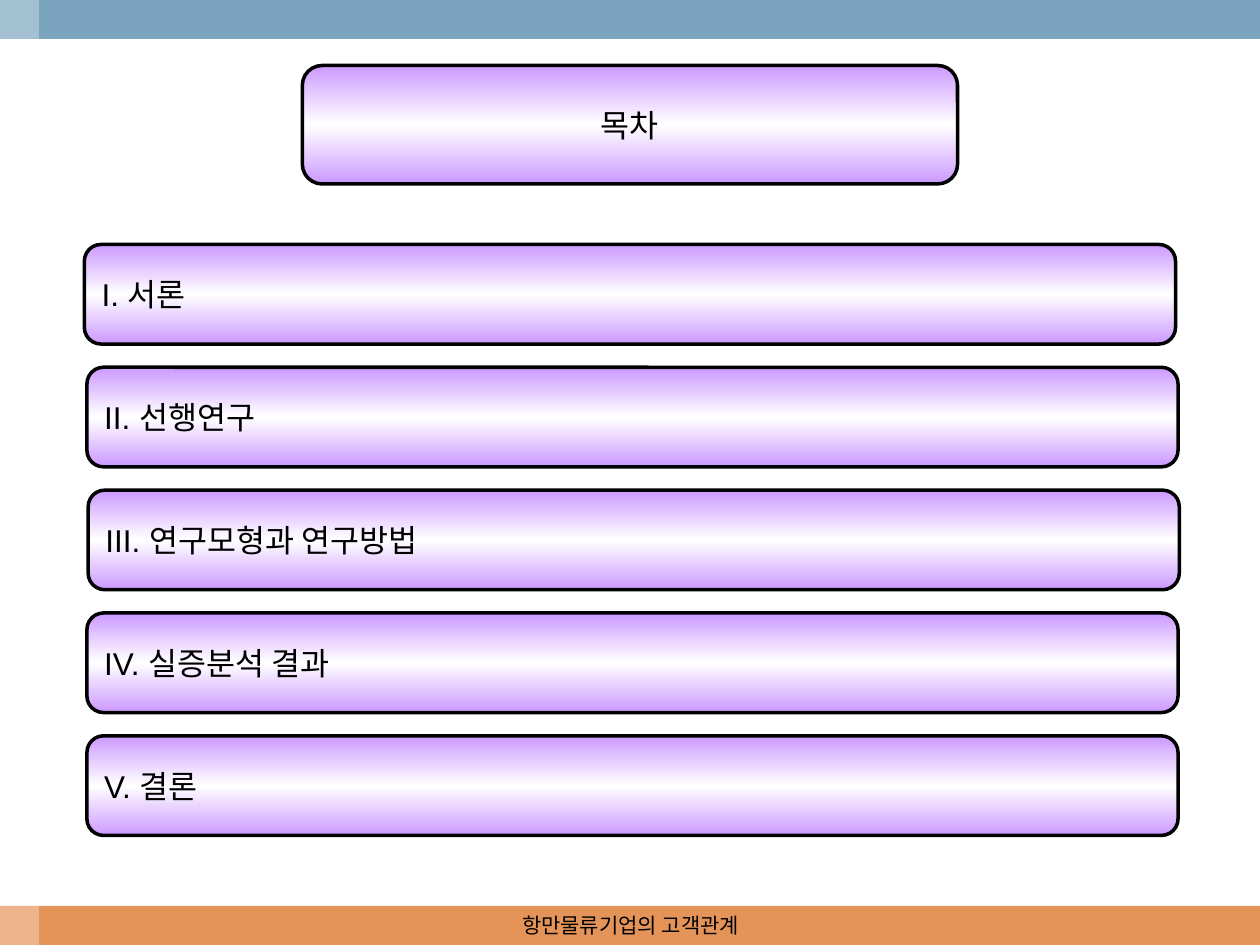
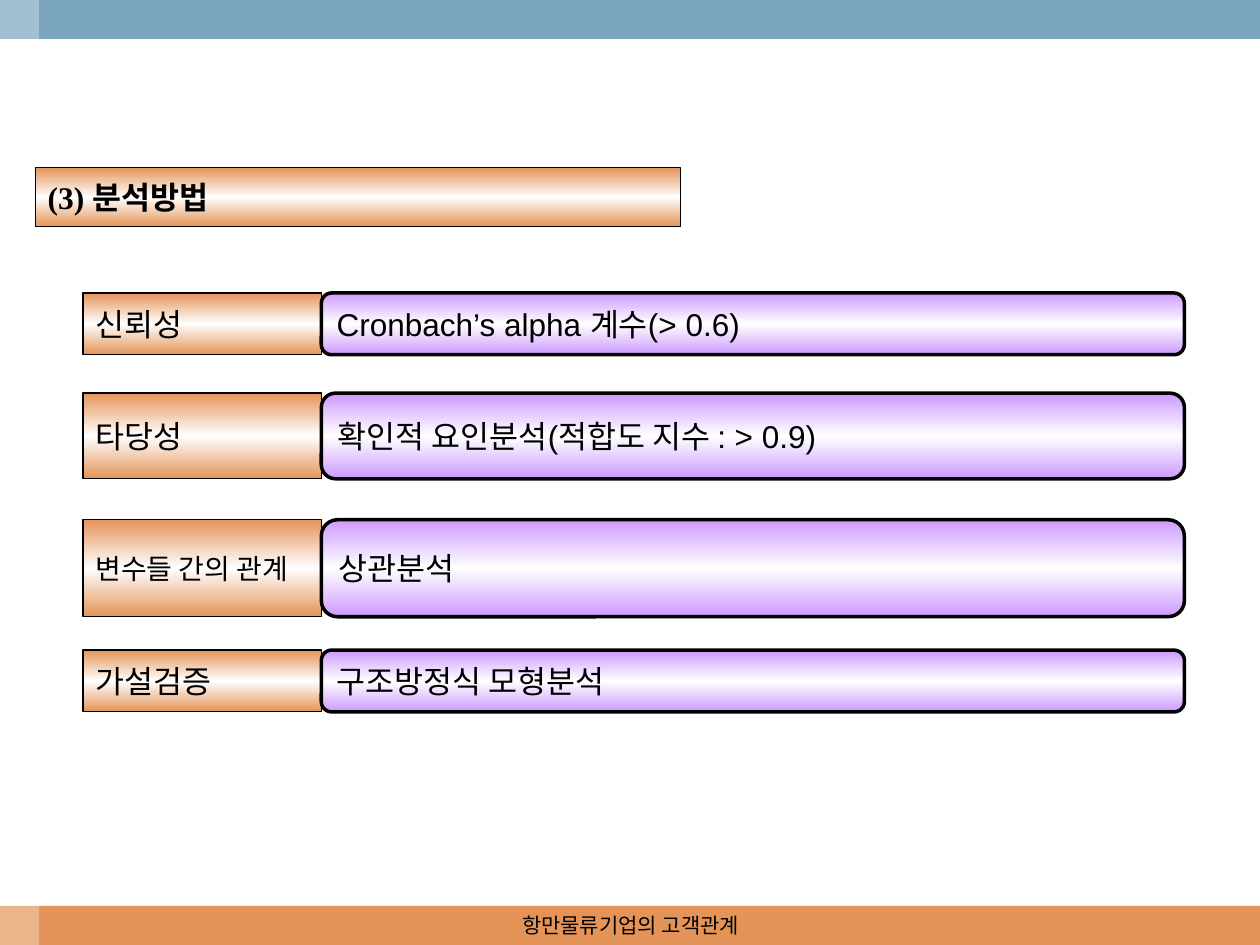
from lxml.etree import SubElement
from pptx import Presentation
from pptx.dml.color import RGBColor
from pptx.enum.shapes import MSO_SHAPE as Shape
from pptx.enum.text import MSO_ANCHOR as Anchor, PP_ALIGN as Align
from pptx.oxml.ns import qn
from pptx.util import Inches, Pt

COLORS = {"ink": "000000", "paper": "FFFFFF", "orange": "E49458",
          "blue": "7BA5BE", "violet": "CC99FF"}
COLUMNS, ROWS = 100, 75
BAND = 3.1
FOOTER = "항만물류기업의 고객관계"


def rgb(name):
    """Look up a named colour."""
    return RGBColor.from_string(COLORS[name])


def write(shape, text, font="Arial", size=18, bold=False, align=Align.LEFT):
    """Put one formatted line of text in a shape, centred vertically."""
    frame = shape.text_frame
    frame.word_wrap = True
    frame.vertical_anchor = Anchor.MIDDLE
    line = frame.paragraphs[0]
    line.alignment = align
    run = line.add_run()
    run.text = text
    run.font.name, run.font.size, run.font.bold = font, Pt(size), bold
    run.font.color.rgb = rgb("ink")


def shade(shape, color):
    """Fill a shape from a colour through white and back, top to bottom."""
    shape.fill.gradient()
    shape.fill.gradient_angle = 270
    stops = shape.fill._fill._gradFill.find(qn("a:gsLst"))
    for stop in list(stops):
        stops.remove(stop)
    for position, name in ((0, color), (50, "paper"), (100, color)):
        stop = SubElement(stops, qn("a:gs"), pos=str(position * 1000))
        SubElement(stop, qn("a:srgbClr"), val=COLORS[name])


class Deck:
    """Holds the presentation, its grid and the current slide."""

    def __init__(self):
        """Start a 4:3 presentation."""
        self.show = Presentation()
        self.show.slide_width, self.show.slide_height = Inches(10), Inches(7.5)
        self.slide = None

    def place(self, left, top, width, height):
        """Turn columns and rows into lengths."""
        column = self.show.slide_width / COLUMNS
        row = self.show.slide_height / ROWS
        return (round(left * column), round(top * row),
                round(width * column), round(height * row))

    def shape(self, kind, *box):
        """Add a preset shape without shadow."""
        shape = self.slide.shapes.add_shape(kind, *self.place(*box))
        shape.shadow.inherit = False
        return shape

    def band(self, color, *box, opacity=100):
        """Add a plain, optionally see-through, band."""
        band = self.shape(Shape.RECTANGLE, *box)
        band.line.fill.background()
        band.fill.solid()
        band.fill.fore_color.rgb = rgb(color)
        if opacity < 100:
            tint = band.fill._fill._solidFill.find(qn("a:srgbClr"))
            SubElement(tint, qn("a:alpha"), val=str(opacity * 1000))

    def new_slide(self):
        """Start a slide with its bands and footer."""
        self.slide = self.show.slides.add_slide(self.show.slide_layouts[6])
        self.band("orange", 0, ROWS - BAND, COLUMNS, BAND)
        self.band("blue", 0, 0, COLUMNS, BAND)
        self.band("paper", 0, 0, BAND, ROWS, opacity=30)
        footer = self.slide.shapes.add_textbox(
            *self.place(34.2, ROWS - BAND, 31.7, BAND))
        write(footer, FOOTER, font="Cambria", size=12, align=Align.CENTER)

    def panel(self, text, *box, kind, color, border, **style):
        """Add a bordered, shaded shape with text."""
        panel = self.shape(kind, *box)
        shade(panel, color)
        panel.line.color.rgb = rgb("ink")
        panel.line.width = Pt(border)
        write(panel, text, **style)

    def card(self, text, *box, **style):
        """Add a rounded violet panel."""
        self.panel(text, *box, kind=Shape.ROUNDED_RECTANGLE, color="violet",
                   border=2, **style)

    def label(self, text, *box, **style):
        """Add a square orange panel."""
        self.panel(text, *box, kind=Shape.RECTANGLE, color="orange",
                   border=0.75, font="Times New Roman", **style)


def contents(deck):
    """Build the table of contents."""
    deck.new_slide()
    deck.card("목차", 24, 5.2, 52, 9.4, align=Align.CENTER)
    chapters = (("I. 서론", 6.7), ("II. 선행연구", 6.9),
                ("III. 연구모형과 연구방법", 7), ("IV. 실증분석 결과", 6.9),
                ("V. 결론", 6.9))
    for index, (chapter, left) in enumerate(chapters):
        deck.card(chapter, left, 19.4 + 9.75 * index, 86.6, 7.9)


def methods(deck):
    """Build the list of analysis methods."""
    deck.new_slide()
    deck.label("(3) 분석방법", 2.8, 13.3, 51.2, 4.7, bold=True)
    steps = (("신뢰성", "Cronbach’s alpha 계수(> 0.6)", 23.25, 4.9, 18),
             ("타당성", "확인적 요인분석(적합도 지수 : > 0.9)", 31.2, 6.8, 18),
             ("변수들 간의 관계", "상관분석", 41.25, 7.7, 16),
             ("가설검증", "구조방정식 모형분석", 51.6, 4.9, 18))
    for goal, method, top, height, size in steps:
        deck.label(goal, 6.6, top, 18.9, height, size=size)
        deck.card(method, 25.5, top, 68.5, height)


deck = Deck()
contents(deck)
methods(deck)
deck.show.save("out.pptx")
